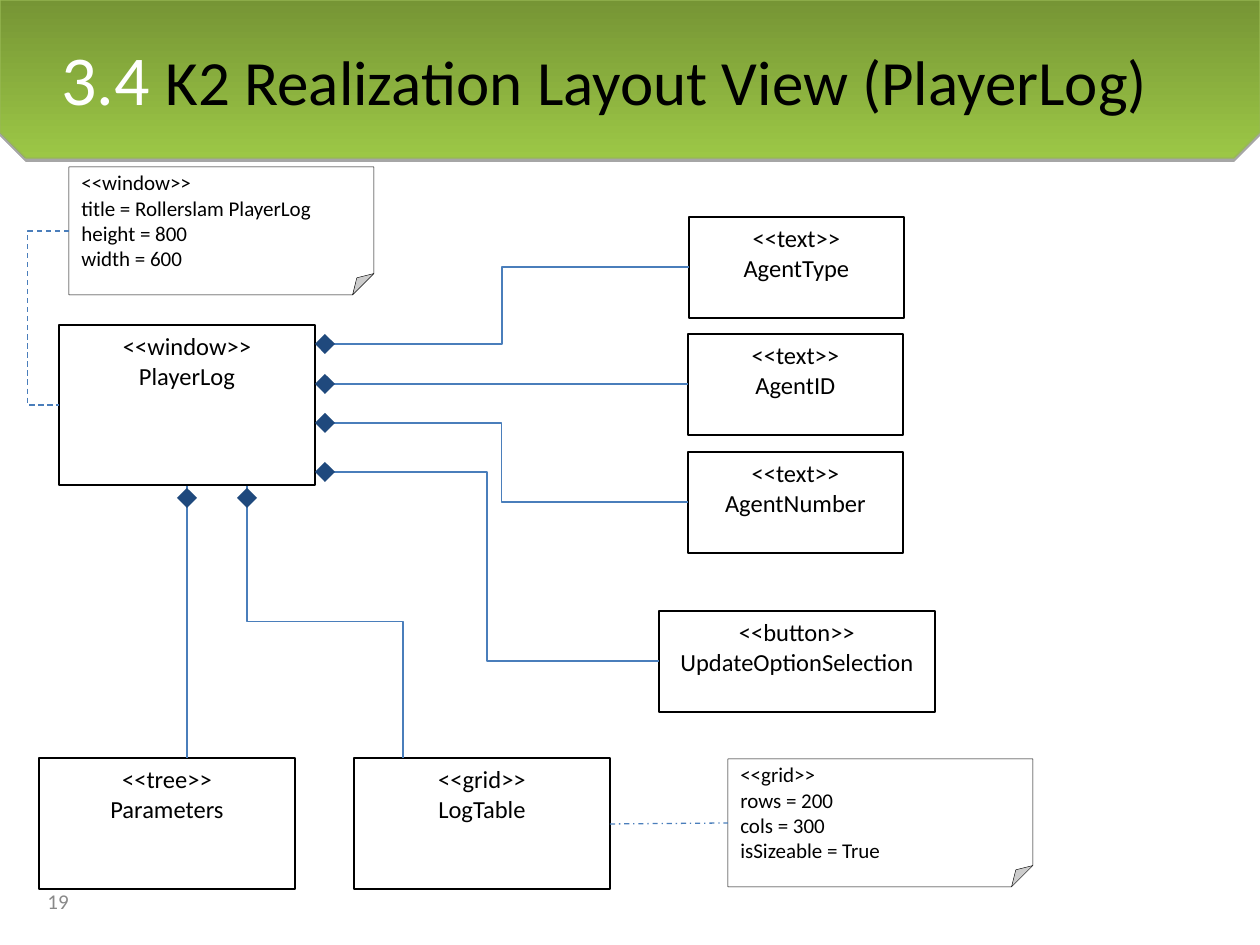
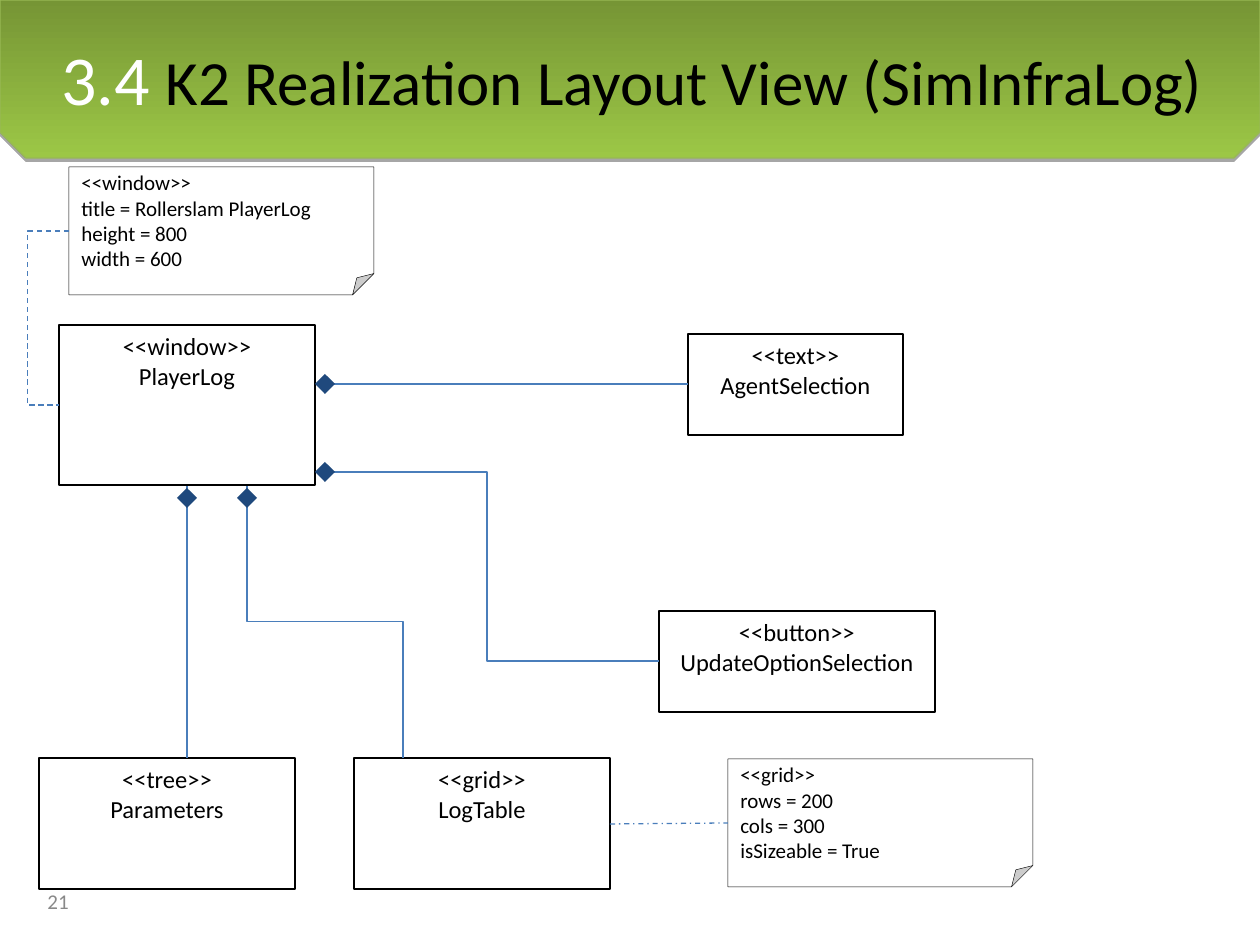
from dataclasses import dataclass

from lxml import etree
from pptx import Presentation
from pptx.dml.color import RGBColor
from pptx.enum import dml, shapes, text
from pptx.oxml import ns
from pptx import util as u

PX = u.Inches(1) // 126
WIDTH, HEIGHT = 1260, 945
FONT = "Calibri"
COLORS = {
    "band_top": "769535", "band_bottom": "9CC746", "band_edge": "98B954",
    "white": "FFFFFF", "black": "000000", "grey": "898989",
    "link": "4A7EBB", "diamond": "1F497D",
}
DIAMOND = 20
Point = tuple[int, int]


@dataclass(frozen=True)
class Frame:
    left: int
    top: int
    width: int
    height: int

    def emu(self) -> list[int]:
        return [side * PX for side in (self.left, self.top, self.width, self.height)]


@dataclass(frozen=True)
class Element:
    """A stereotyped box and, unless it is the window, its composition link."""
    stereotype: str
    name: str
    frame: Frame
    port: Point | None = None
    tip: Point | None = None
    below: bool = False


@dataclass(frozen=True)
class Note:
    lines: tuple[str, ...]
    frame: Frame


@dataclass(frozen=True)
class View:
    name: str
    number: int
    elements: tuple[Element, ...]


WINDOW = Element("window", "PlayerLog", Frame(59, 325, 256, 160))
RIGHT_EDGE = WINDOW.frame.left + WINDOW.frame.width
BOTTOM_EDGE = WINDOW.frame.top + WINDOW.frame.height


def side_element(stereotype: str, name: str, frame: Frame, port_y: int) -> Element:
    """Element to the right, linked from the window's right edge."""
    tip = (frame.left, frame.top + frame.height // 2)
    return Element(stereotype, name, frame, (RIGHT_EDGE, port_y), tip)


def lower_element(stereotype: str, name: str, left: int, port_x: int, tip_x: int) -> Element:
    """Element in the bottom row, linked from the window's bottom edge."""
    frame = Frame(left, 758, 256, 131)
    return Element(stereotype, name, frame, (port_x, BOTTOM_EDGE), (tip_x, frame.top), True)


def agent_id_row(name: str) -> Element:
    return side_element("text", name, Frame(688, 334, 215, 101), 384)


SHARED = (
    lower_element("grid", "LogTable", 354, 247, 403),
    lower_element("tree", "Parameters", 39, 187, 187),
    side_element("button", "UpdateOptionSelection", Frame(659, 611, 276, 101), 472),
)
VIEWS = (
    View("PlayerLog", 19, (
        side_element("text", "AgentType", Frame(689, 217, 215, 101), 344),
        agent_id_row("AgentID"),
        side_element("text", "AgentNumber", Frame(688, 452, 215, 101), 423),
        *SHARED,
    )),
    View("SimInfraLog", 21, (agent_id_row("AgentSelection"), *SHARED)),
)
NOTES = (
    Note(("<<window>>", "title = Rollerslam PlayerLog", "height = 800", "width = 600"),
         Frame(69, 167, 305, 128)),
    Note(("<<grid>>", "rows = 200", "cols = 300", "isSizeable = True"),
         Frame(728, 759, 305, 128)),
)


def rgb(name: str) -> RGBColor:
    return RGBColor.from_string(COLORS[name])


def write(para, words: str, *, size: int, color: str = "black",
          align=text.PP_ALIGN.LEFT) -> None:
    para.alignment = align
    span = para.add_run()
    span.text = words
    span.font.name = FONT
    span.font.size = u.Pt(size)
    span.font.color.rgb = rgb(color)


def write_lines(box, lines, *, anchor=text.MSO_ANCHOR.MIDDLE, **style) -> None:
    body = box.text_frame
    body.word_wrap = True
    body.vertical_anchor = anchor
    for index, line in enumerate(lines):
        para = body.add_paragraph() if index else body.paragraphs[0]
        write(para, line, **style)


def add_preset(page, kind, frame: Frame, *, fill: str | None = None, line: float = 0):
    box = page.shapes.add_shape(kind, *frame.emu())
    box.shadow.inherit = False
    if fill:
        box.fill.solid()
        box.fill.fore_color.rgb = rgb(fill)
    else:
        box.fill.background()
    if line:
        box.line.color.rgb = rgb("black")
        box.line.width = u.Pt(line)
    else:
        box.line.fill.background()
    return box


def add_link(page, start: Point, end: Point, *, dash=None, bend_x: int | None = None,
             vertical: bool = False) -> None:
    """Straight when level or nearly so, else an elbow; vertical elbows leave downward."""
    (x1, y1), (x2, y2) = start, end
    straight = min(abs(x2 - x1), abs(y2 - y1)) < 2
    kind = shapes.MSO_CONNECTOR.STRAIGHT if straight else shapes.MSO_CONNECTOR.ELBOW
    turned = vertical and not straight
    if turned:  # lay the elbow on its side about its centre, then rotate it
        width, height = x2 - x1, y2 - y1
        middle_x, middle_y = (x1 + x2) / 2, (y1 + y2) / 2
        x1, x2 = middle_x + height / 2, middle_x - height / 2
        y1, y2 = middle_y - width / 2, middle_y + width / 2
    link = page.shapes.add_connector(kind, *(int(value * PX) for value in (x1, y1, x2, y2)))
    link.line.color.rgb = rgb("link")
    link.line.width = u.Pt(0.75)
    if dash:
        link.line.dash_style = dash
    properties = link._element.spPr
    etree.SubElement(properties, ns.qn("a:effectLst"))
    if turned:
        properties.find(ns.qn("a:xfrm")).set("rot", str(270 * 60000))
    if bend_x is not None:
        guides = properties.find(ns.qn("a:prstGeom")).find(ns.qn("a:avLst"))
        ratio = round((bend_x - x1) / (x2 - x1) * 100000)
        etree.SubElement(guides, ns.qn("a:gd"), name="adj1", fmla=f"val {ratio}")


def add_band(page) -> None:
    band_height, cut = 158, 26
    outline = page.shapes.build_freeform(0, 0, scale=PX)
    outline.add_line_segments([
        (WIDTH, 0), (WIDTH, band_height - cut), (WIDTH - cut, band_height),
        (cut, band_height), (0, band_height - cut),
    ])
    band = outline.convert_to_shape()
    band.fill.gradient()
    band.fill.gradient_angle = 270
    for stop, color in zip(band.fill.gradient_stops, ("band_top", "band_bottom")):
        stop.color.rgb = rgb(color)
    for stop, position in zip(band.fill.gradient_stops, (0, 1)):
        stop.position = position
    band.line.color.rgb = rgb("band_edge")
    band.line.width = u.Pt(0.75)
    band.shadow.inherit = False
    effects = band._element.spPr.find(ns.qn("a:effectLst"))
    shadow = etree.SubElement(effects, ns.qn("a:outerShdw"), blurRad="0",
                              dist=str(u.Pt(1.8)), dir=str(90 * 60000), rotWithShape="0")
    tone = etree.SubElement(shadow, ns.qn("a:srgbClr"), val=COLORS["black"])
    etree.SubElement(tone, ns.qn("a:alpha"), val="35000")


def add_title(page, name: str) -> None:
    box = page.shapes.add_textbox(*Frame(49, 29, 1211, 158).emu())
    box.text_frame.word_wrap = True
    para = box.text_frame.paragraphs[0]
    write(para, "3.4 ", size=40, color="white")
    write(para, f"K2 Realization Layout View ({name})", size=36)


def add_element(page, element: Element, fill: str | None = None) -> None:
    box = add_preset(page, shapes.MSO_SHAPE.RECTANGLE, element.frame, fill=fill, line=0.75)
    write_lines(box, (f"<<{element.stereotype}>>", element.name), size=14,
                anchor=text.MSO_ANCHOR.TOP, align=text.PP_ALIGN.CENTER)


def add_diamond(page, element: Element) -> None:
    x, y = element.port
    half = DIAMOND // 2
    left, top = (x - half, y + 3) if element.below else (x, y - half)
    add_preset(page, shapes.MSO_SHAPE.DIAMOND, Frame(left, top, DIAMOND, DIAMOND),
               fill="diamond")


def add_note(page, note: Note) -> None:
    box = add_preset(page, shapes.MSO_SHAPE.FOLDED_CORNER, note.frame,
                     fill="white", line=0.25)
    write_lines(box, note.lines, size=12)


def build_page(deck, view: View) -> None:
    page = deck.slides.add_slide(deck.slide_layouts[6])
    add_band(page)
    add_title(page, view.name)

    # Composition: links lie under the window, diamonds on top
    for element in view.elements:
        add_element(page, element)
    for element in view.elements:
        add_link(page, element.port, element.tip, vertical=element.below)
    add_element(page, WINDOW, fill="white")
    for element in view.elements:
        add_diamond(page, element)

    # Notes and their dashed anchors
    for note in NOTES:
        add_note(page, note)
    add_link(page, (69, 231), (59, 405), bend_x=28, dash=dml.MSO_LINE.DASH)
    add_link(page, (610, 824), (728, 823), dash=dml.MSO_LINE.DASH_DOT)

    # Page number
    number = page.shapes.add_textbox(*Frame(35, 876, 294, 50).emu())
    write_lines(number, (str(view.number),), size=12, color="grey")


def main() -> None:
    deck = Presentation()
    deck.slide_width, deck.slide_height = WIDTH * PX, HEIGHT * PX
    for view in VIEWS:
        build_page(deck, view)
    deck.save("out.pptx")


if __name__ == "__main__":
    main()
